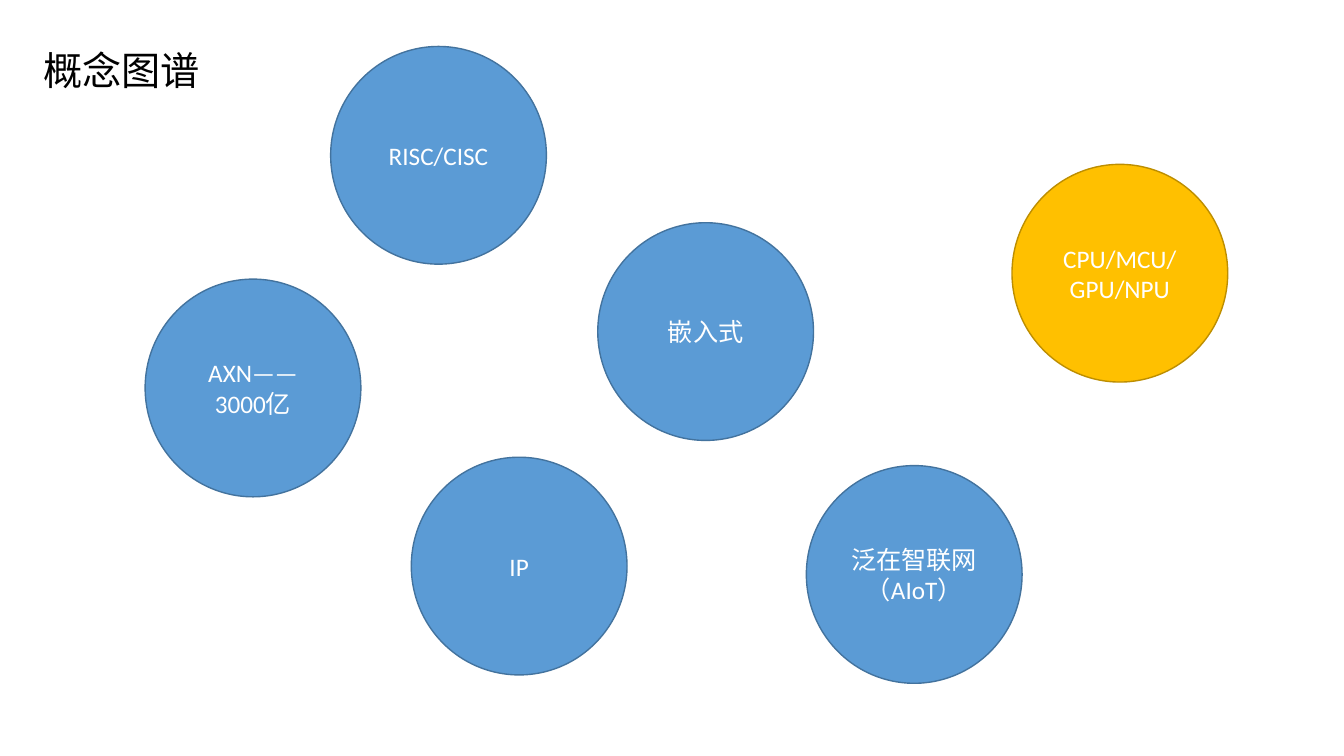
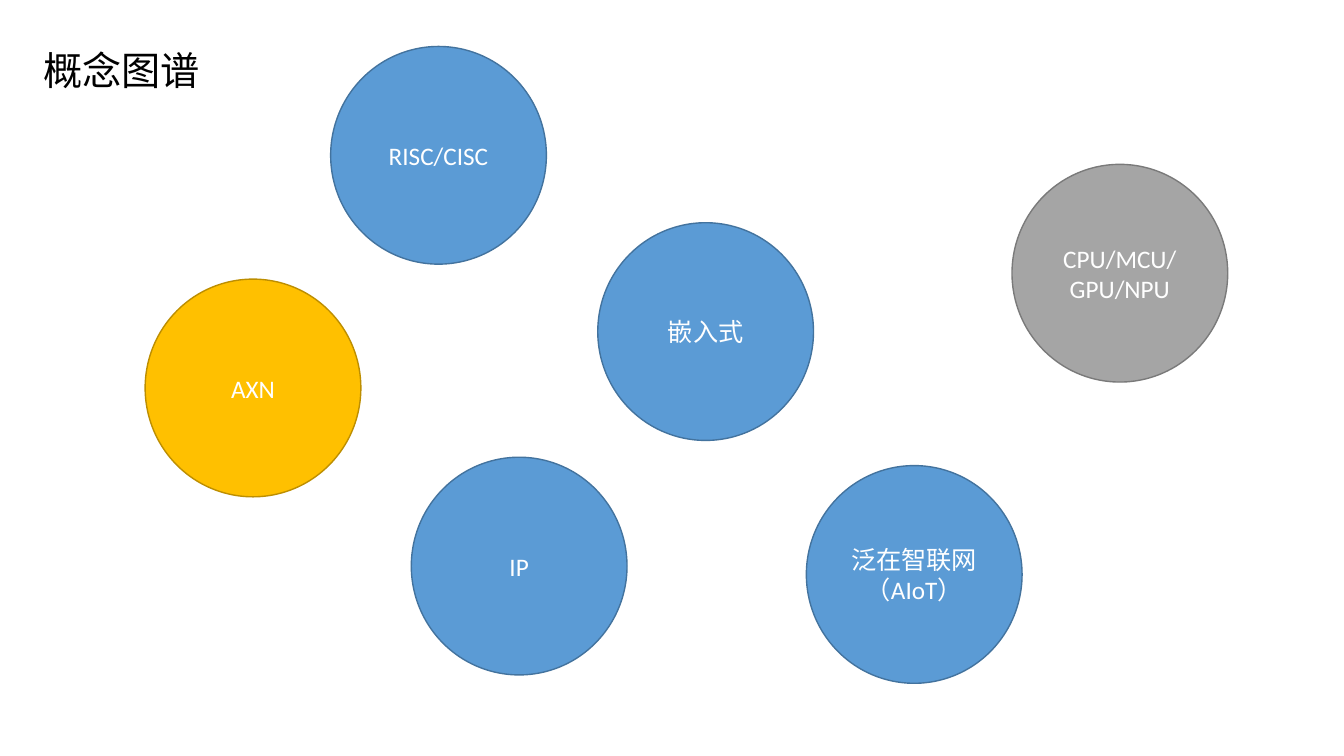
from pptx import Presentation
from pptx.dml.color import RGBColor
from pptx.enum import shapes, text
from pptx.util import Pt

BLACK = RGBColor(0x00, 0x00, 0x00)
WHITE = RGBColor(0xFF, 0xFF, 0xFF)
# Each concept style is a fill and its darker outline
BLUE = (RGBColor(0x5B, 0x9B, 0xD5), RGBColor(0x43, 0x73, 0x9E))
GOLD = (RGBColor(0xFF, 0xC0, 0x00), RGBColor(0xBD, 0x8E, 0x00))
GRAY = (RGBColor(0xA5, 0xA5, 0xA5), RGBColor(0x7A, 0x7A, 0x7A))

# Left and top of each circle, shared by both slides
PLACES = {
    "vendor": (103.7, 199.4),
    "embedded": (427, 159.1),
    "ip": (293.8, 326.6),
    "aiot": (576, 332.6),
    "processors": (722.9, 117.4),
    "instruction_sets": (236.2, 33.2),
}
LABELS = {
    "embedded": ["嵌入式"],
    "ip": ["IP"],
    "aiot": ["泛在智联网", "（AIoT）"],
    "processors": ["CPU/MCU/GPU/NPU"],
    "instruction_sets": ["RISC/CISC"],
}


class ConceptDeck:
    FONT = "Calibri"
    TITLE_SIZE, LABEL_SIZE = 28, 18
    CIRCLE_WIDTH, CIRCLE_HEIGHT = 154.1, 155.5

    def __init__(self):
        self.deck = Presentation()
        self.deck.slide_width, self.deck.slide_height = Pt(960), Pt(540)
        self.slide = None

    def new_slide(self):
        self.slide = self.deck.slides.add_slide(self.deck.slide_layouts[6])

    def add_lines(self, frame, lines, size, color, align):
        frame.word_wrap = True
        frame.vertical_anchor = text.MSO_ANCHOR.MIDDLE
        for i, line in enumerate(lines):
            paragraph = frame.add_paragraph() if i else frame.paragraphs[0]
            paragraph.alignment = align
            run = paragraph.add_run()
            run.text = line
            run.font.name = self.FONT
            run.font.size = Pt(size)
            run.font.color.rgb = color

    def title(self, words):
        heading = self.slide.shapes.add_textbox(Pt(24), Pt(0), Pt(828), Pt(104.4))
        self.add_lines(heading.text_frame, [words], self.TITLE_SIZE, BLACK, text.PP_ALIGN.LEFT)
        heading.text_frame.paragraphs[0].line_spacing = 0.9

    def concept(self, lines, place, style):
        left, top = place
        fill, outline = style
        circle = self.slide.shapes.add_shape(
            shapes.MSO_SHAPE.OVAL, Pt(left), Pt(top),
            Pt(self.CIRCLE_WIDTH), Pt(self.CIRCLE_HEIGHT))
        circle.shadow.inherit = False
        circle.fill.solid()
        circle.fill.fore_color.rgb = fill
        circle.line.color.rgb = outline
        circle.line.width = Pt(1)
        self.add_lines(circle.text_frame, lines, self.LABEL_SIZE, WHITE, text.PP_ALIGN.CENTER)

    def concept_map(self, vendor, styles):
        self.new_slide()
        self.title("概念图谱")
        labels = {**LABELS, "vendor": [vendor]}
        for concept, place in PLACES.items():
            self.concept(labels[concept], place, styles.get(concept, BLUE))


def main():
    concepts = ConceptDeck()
    # Processors in focus
    concepts.concept_map("AXN——3000亿", {"processors": GOLD})
    # Vendor in focus, processors already covered
    concepts.concept_map("AXN", {"vendor": GOLD, "processors": GRAY})
    concepts.deck.save("out.pptx")


if __name__ == "__main__":
    main()
